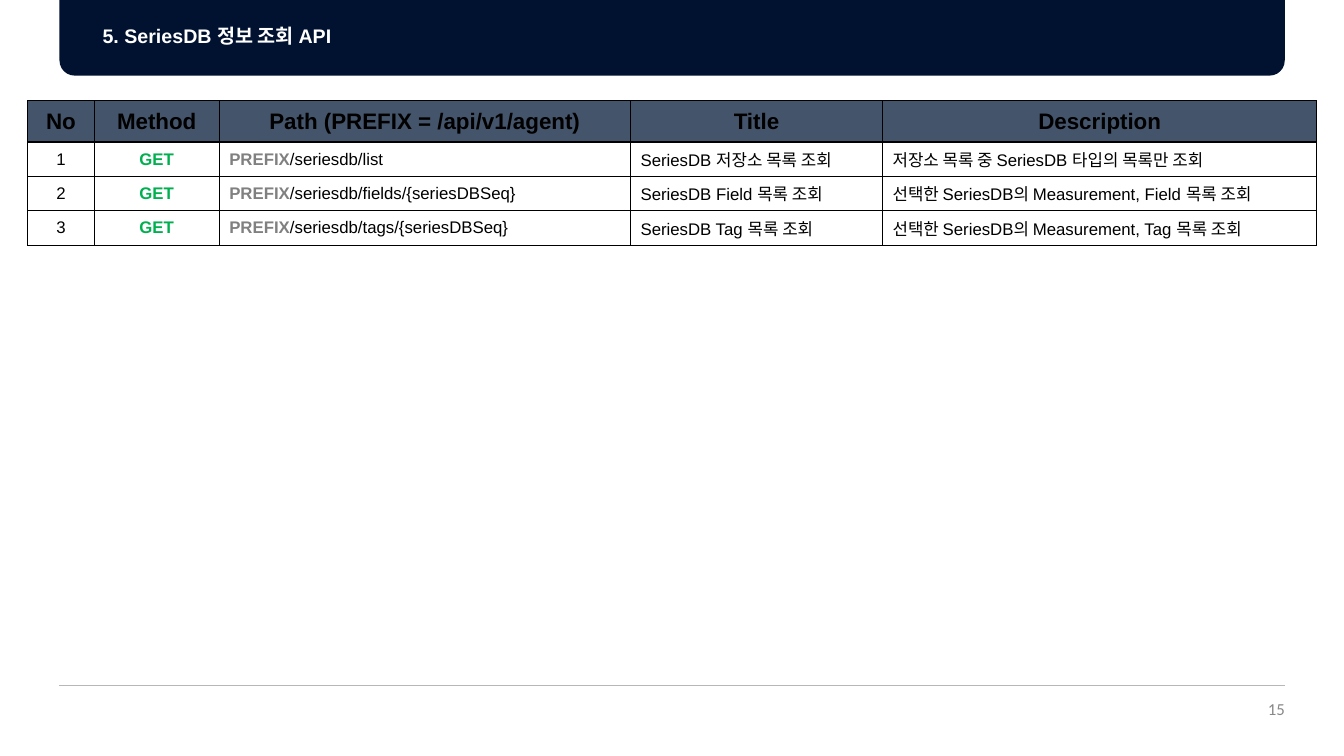
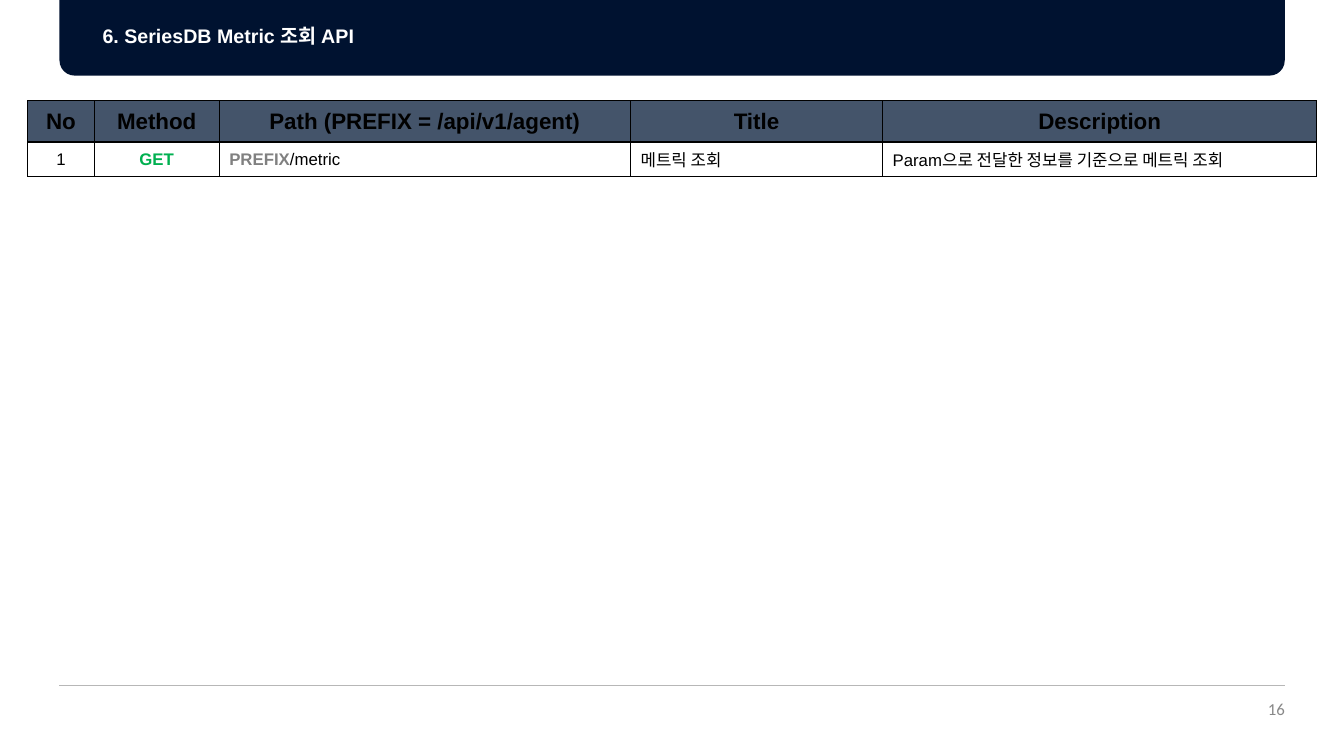
from pptx import Presentation
from pptx.dml.color import RGBColor
from pptx.enum import shapes, text
from pptx.oxml import parse_xml
from pptx.oxml.ns import nsdecls
from pptx.util import Pt

# Content
HEAD = ["No", "Method", "Path (PREFIX = /api/v1/agent)", "Title", "Description"]
PAGES = [
    (15, "5. SeriesDB 정보 조회 API", [
        ("GET", "/seriesdb/list", "SeriesDB 저장소 목록 조회",
         "저장소 목록 중 SeriesDB 타입의 목록만 조회"),
        ("GET", "/seriesdb/fields/{seriesDBSeq}", "SeriesDB Field 목록 조회",
         "선택한 SeriesDB의 Measurement, Field 목록 조회"),
        ("GET", "/seriesdb/tags/{seriesDBSeq}", "SeriesDB Tag 목록 조회",
         "선택한 SeriesDB의 Measurement, Tag 목록 조회"),
    ]),
    (16, "6. SeriesDB Metric 조회 API", [
        ("GET", "/metric", "메트릭 조회",
         "Param으로 전달한 정보를 기준으로 메트릭 조회"),
    ]),
]

# Theme: colours, text styles and places
THEME = {
    "band": "001230", "rule": "B7B7B7", "head": "44546A", "edge": "000000",
    "title": dict(name="Arial", size=14, bold=True, color="FFFFFF"),
    "page": dict(name="Calibri", size=12, bold=False, color="888888"),
    "th": dict(name="Arial", size=16, bold=True, color="000000"),
    "td": dict(name="Arial", size=12, bold=False, color="000000"),
    "get": dict(name="Arial", size=12, bold=True, color="00B050"),
    "prefix": dict(name="Arial", size=12, bold=True, color="808080"),
}
LEFT, RIGHT, BAND, RULE = 42.5, 917.7, 54, 489.6
COLS = [47.5, 89.3, 293.8, 180, 310.3]
HEAD_H, ROW_H = 29.4, 24.6
MID, END = text.PP_ALIGN.CENTER, text.PP_ALIGN.RIGHT


def rgb(key):
    return RGBColor.from_string(THEME.get(key, key))


def write(frame, runs, align=None):
    frame.vertical_anchor = text.MSO_ANCHOR.MIDDLE
    para = frame.paragraphs[0]
    para.alignment = align
    for words, style in runs:
        run = para.add_run()
        run.text = words
        for key, val in THEME[style].items():
            if key == "color":
                run.font.color.rgb = rgb(val)
            else:
                setattr(run.font, key, Pt(val) if key == "size" else val)
    return para


def label(slide, box, runs, align=None, pad=(0, 0)):
    frame = slide.shapes.add_textbox(*map(Pt, box)).text_frame
    fmt = dict(word_wrap=True, margin_left=Pt(pad[0]), margin_right=Pt(pad[0]),
               margin_top=Pt(pad[1]), margin_bottom=Pt(pad[1]))
    for key, val in fmt.items():
        setattr(frame, key, val)
    return write(frame, runs, align)


# Shared band, footer rule, page number and title
def base(deck, num, title):
    slide = deck.slides.add_slide(deck.slide_layouts[6])
    band = slide.shapes.add_shape(
        shapes.MSO_SHAPE.ROUND_2_SAME_RECTANGLE,
        Pt(LEFT), 0, Pt(RIGHT - LEFT), Pt(BAND))
    band.adjustments[0], band.adjustments[1] = 0, 0.2
    band.shadow.inherit = False
    band.fill.solid()
    band.fill.fore_color.rgb = rgb("band")
    band.line.fill.background()

    label(slide, (RIGHT - 65, 498.6, 65, 15.8), [(str(num), "page")], END)
    rule = slide.shapes.add_connector(
        shapes.MSO_CONNECTOR.STRAIGHT, Pt(LEFT), Pt(RULE), Pt(RIGHT), Pt(RULE))
    rule.line.color.rgb = rgb("rule")
    rule.line.width = Pt(0.75)
    rule._element.spPr.append(parse_xml(f"<a:effectLst {nsdecls('a')}/>"))
    para = label(slide, (66.2, 0, 828, 53.3), [(title, "title")], pad=(7.2, 3.6))
    para.line_spacing = 0.9
    return slide


def border(cell):
    props = cell._tc.get_or_add_tcPr()
    for i, side in enumerate(("lnL", "lnR", "lnT", "lnB")):
        props.insert(i, parse_xml(
            f'<a:{side} {nsdecls("a")} w="{Pt(1)}"><a:solidFill>'
            f'<a:srgbClr val="{THEME["edge"]}"/></a:solidFill></a:{side}>'))


# API table: each cell is a list of runs
def table(slide, rows):
    grid = [[[(name, "th")] for name in HEAD]]
    for i, (verb, route, name, note) in enumerate(rows, 1):
        grid.append([[(str(i), "td")], [(verb, "get")],
                     [("PREFIX", "prefix"), (route, "td")],
                     [(name, "td")], [(note, "td")]])
    high = HEAD_H + ROW_H * len(rows)
    tab = slide.shapes.add_table(len(grid), len(COLS), Pt(19.8), Pt(72),
                                 Pt(sum(COLS)), Pt(high)).table
    tab.horz_banding = tab.first_row = False
    for col, wide in zip(tab.columns, COLS):
        col.width = Pt(wide)
    for r, line in enumerate(grid):
        tab.rows[r].height = Pt(ROW_H if r else HEAD_H)
        for c, runs in enumerate(line):
            cell = tab.cell(r, c)
            write(cell.text_frame, runs, MID if r == 0 or c < 2 else None)
            cell.vertical_anchor = text.MSO_ANCHOR.MIDDLE
            if r:
                cell.fill.background()
            else:
                cell.fill.solid()
                cell.fill.fore_color.rgb = rgb("head")
            border(cell)


def main():
    deck = Presentation()
    deck.slide_width, deck.slide_height = Pt(960), Pt(540)
    for num, title, rows in PAGES:
        table(base(deck, num, title), rows)
    deck.save("out.pptx")


if __name__ == "__main__":
    main()
